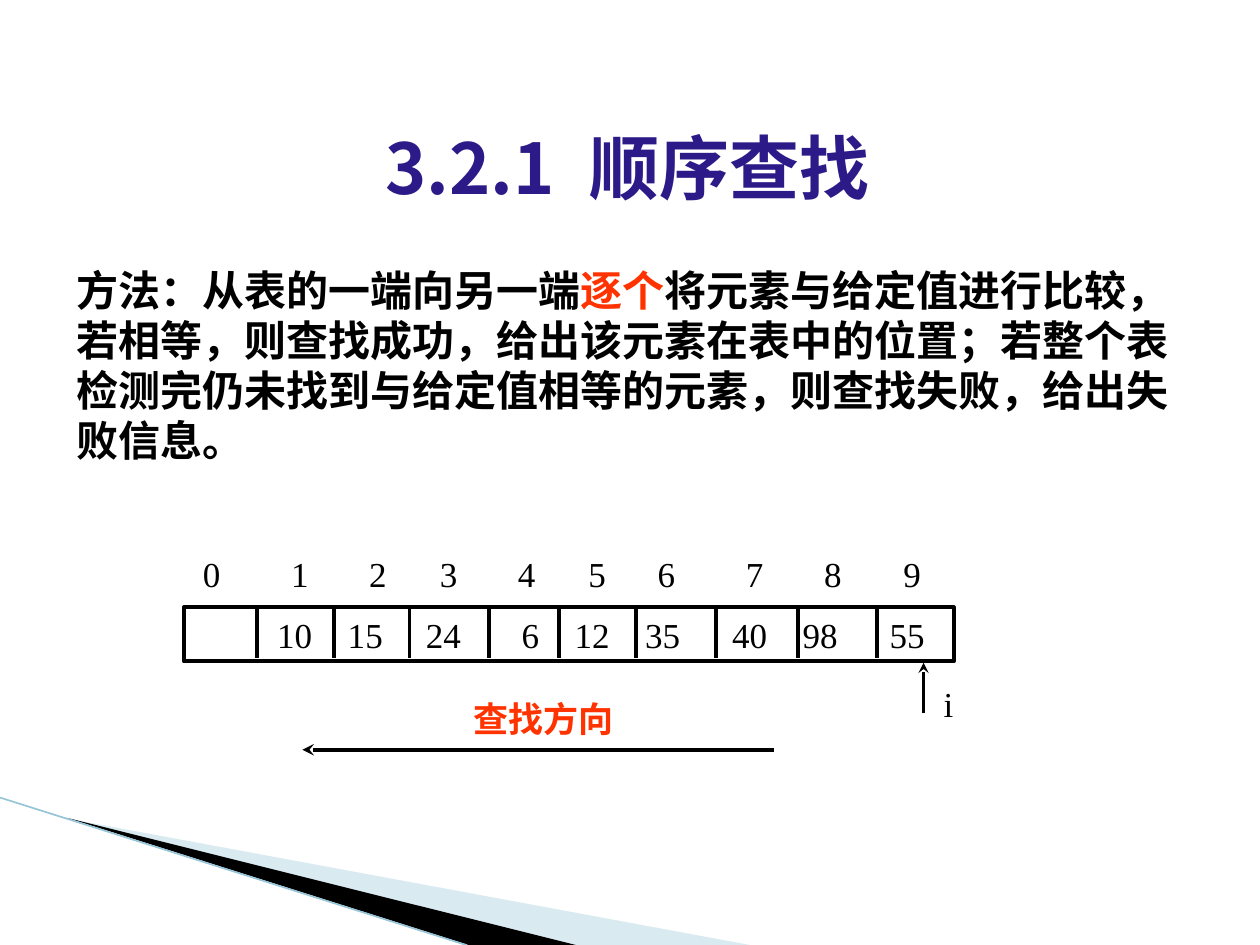
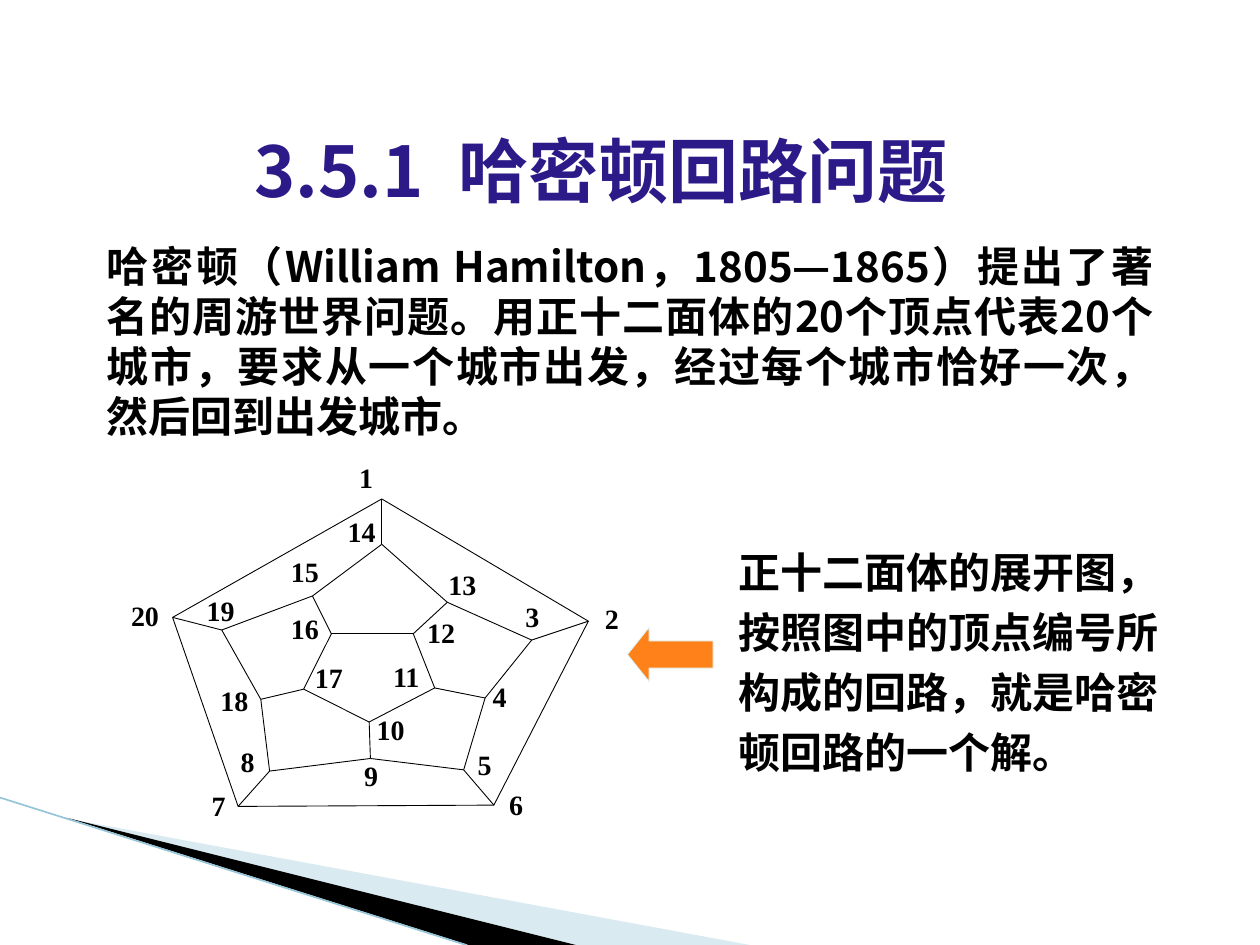
from dataclasses import dataclass

from lxml import etree
from pptx import Presentation
from pptx.dml.color import RGBColor
from pptx.enum.shapes import MSO_CONNECTOR, MSO_SHAPE
from pptx.enum.text import MSO_ANCHOR, MSO_AUTO_SIZE, PP_ALIGN
from pptx.oxml.ns import qn
from pptx.util import Inches, Pt

LEFT, CENTER, JUSTIFY = PP_ALIGN.LEFT, PP_ALIGN.CENTER, PP_ALIGN.JUSTIFY
TOP, MIDDLE = MSO_ANCHOR.TOP, MSO_ANCHOR.MIDDLE
NO_AUTOFIT = MSO_AUTO_SIZE.NONE
STRAIGHT = MSO_CONNECTOR.STRAIGHT
RECTANGLE, LEFT_ARROW = MSO_SHAPE.RECTANGLE, MSO_SHAPE.LEFT_ARROW
TITLE_ONLY = 5


@dataclass(frozen=True)
class Theme:
    sans: str = "Noto Sans CJK SC"
    serif: str = "Times New Roman"
    ink: str = "000000"
    title: str = "2C1A88"
    accent: str = "FF3300"
    pointer: str = "FF8119"
    pointer_edge: str = "DEF5FA"
    band: str = "A0CBDC"
    band_edge: str = "97C5D8"
    title_size: int = 40
    body_size: int = 24
    cell_size: int = 20
    vertex_size: int = 16
    sans_leading: float = 1.19
    sans_drop: float = 0.09


THEME = Theme()
WIDTH, HEIGHT = 10, 7.5
INSETS = (0.1, 0.05, 0.1, 0.05)
NO_INSETS = (0, 0, 0, 0)

PALE_BAND = [(0.55, 6.5), (5.95, HEIGHT), (4.56, HEIGHT)]
DARK_BAND = [(0.53, 6.49), (4.57, HEIGHT), (3.72, HEIGHT)]
BAND_EDGE = [(0, 6.33), (3.7, HEIGHT)]

SEARCH_TITLE = "3.2.1\u2002顺序查找"
SEARCH_METHOD = [
    ("方法：从表的一端向另一端", THEME.ink),
    ("逐个", THEME.accent),
    ("将元素与给定值进行比较，若相等，则查找成功，给出该元素在表中的位置；"
     "若整个表检测完仍未找到与给定值相等的元素，则查找失败，给出失败信息。", THEME.ink),
]
DIRECTION = "查找方向"
ARRAY_BOX = (1.46, 4.82, 6.11, 0.43)
INDEX_BOX = (1.55, 4.38, 6.08, 0.35)
INDEX_COLUMNS = [("0", 1.61), ("1", 2.31), ("2", 2.93), ("3", 3.49), ("4", 4.11),
                 ("5", 4.67), ("6", 5.22), ("7", 5.92), ("8", 6.54), ("9", 7.17)]
VALUE_COLUMNS = [("10", 2.2), ("15", 2.76), ("24", 3.38), ("6", 4.14), ("12", 4.56),
                 ("35", 5.12), ("40", 5.81), ("98", 6.37), ("55", 7.06)]
DIVIDERS = [2.04, 2.65, 3.25, 3.88, 4.44, 5.05, 5.68, 6.33, 6.96]

CIRCUIT_TITLE = "3.5.1\u2002哈密顿回路问题"
CIRCUIT_PROBLEM = ("哈密顿（William Hamilton，1805—1865）提出了著名的周游世界问题。"
                   "用正十二面体的20个顶点代表20个城市，要求从一个城市出发，"
                   "经过每个城市恰好一次，然后回到出发城市。")
CIRCUIT_ANSWER = "正十二面体的展开图，按照图中的顶点编号所构成的回路，就是哈密顿回路的一个解。"
VERTICES = {
    1: ((3.03, 3.96), (2.85, 3.72)), 2: ((4.67, 4.93), (4.8, 4.84)),
    3: ((4.22, 5.08), (4.17, 4.83)), 4: ((3.85, 5.54), (3.91, 5.46)),
    5: ((3.68, 6.11), (3.79, 6)), 6: ((3.92, 6.39), (4.04, 6.32)),
    7: ((1.89, 6.4), (1.68, 6.33)), 8: ((2.14, 6.12), (1.91, 5.98)),
    9: ((2.94, 6.02), (2.89, 6.09)), 10: ((2.93, 5.73), (2.99, 5.72)),
    11: ((3.45, 5.46), (3.12, 5.3)), 12: ((3.28, 5.03), (3.39, 4.95)),
    13: ((3.55, 4.78), (3.56, 4.57)), 14: ((3.03, 4.32), (2.76, 4.15)),
    15: ((2.48, 4.73), (2.31, 4.47)), 16: ((2.63, 5.03), (2.31, 4.92)),
    17: ((2.41, 5.47), (2.5, 5.31)), 18: ((2.07, 5.55), (1.75, 5.49)),
    19: ((1.76, 5), (1.64, 4.78)), 20: ((1.37, 4.9), (1.04, 4.82)),
}
CHORDS = [(1, 14), (2, 6), (3, 13), (4, 11), (5, 9),
          (7, 20), (8, 18), (10, 17), (12, 16), (15, 19)]


def rgb(code):
    return RGBColor.from_string(code)


def place(shape, box):
    shape.left, shape.top, shape.width, shape.height = map(Inches, box)


def write(shape, pieces, size, font, bold=False, align=LEFT, leading=None,
          insets=INSETS, anchor=TOP):
    frame = shape.text_frame
    frame.word_wrap = True
    frame.auto_size = NO_AUTOFIT
    frame.vertical_anchor = anchor
    (frame.margin_left, frame.margin_top,
     frame.margin_right, frame.margin_bottom) = map(Inches, insets)
    paragraph = frame.paragraphs[0]
    paragraph.alignment = align
    if leading:
        paragraph.line_spacing = leading
    for words, color in pieces:
        run = paragraph.add_run()
        run.text = words
        run.font.size, run.font.bold, run.font.name = Pt(size), bold, font
        run.font.color.rgb = rgb(color)
        east_asian = etree.SubElement(run.font._element, qn("a:ea"))
        east_asian.set("typeface", THEME.sans)
    return paragraph


def write_sans(shape, box, pieces, size, stretch=1, **options):
    left, top, width, height = box
    place(shape, (left, top + THEME.sans_drop * size / 72, width, height))
    write(shape, pieces, size, THEME.sans, bold=True,
          leading=Pt(round(size * THEME.sans_leading * stretch, 1)), **options)


def add_box(slide, box):
    return slide.shapes.add_textbox(*map(Inches, box))


def add_line(slide, start, end, weight, color=THEME.ink, arrow=False):
    line = slide.shapes.add_connector(STRAIGHT, *map(Inches, (*start, *end)))
    line.line.color.rgb = rgb(color)
    line.line.width = Pt(weight)
    if arrow:
        etree.SubElement(line.line._get_or_add_ln(), qn("a:tailEnd"), type="stealth")
    etree.SubElement(line._element.spPr, qn("a:effectLst"))


def add_band(slide, points, color, opacity=100):
    start, *rest = [(Inches(x), Inches(y)) for x, y in points]
    builder = slide.shapes.build_freeform(*start)
    builder.add_line_segments(rest, close=True)
    band = builder.convert_to_shape()
    band.shadow.inherit = False
    band.fill.solid()
    band.fill.fore_color.rgb = rgb(color)
    band.line.fill.background()
    if opacity < 100:
        tint = band._element.spPr.find(".//" + qn("a:srgbClr"))
        etree.SubElement(tint, qn("a:alpha"), val=str(opacity * 1000))


def add_slide(deck, title, title_box):
    slide = deck.slides.add_slide(deck.slide_layouts[TITLE_ONLY])
    add_band(slide, PALE_BAND, THEME.band, opacity=40)
    add_band(slide, DARK_BAND, THEME.ink)
    add_line(slide, *BAND_EDGE, 0.95, THEME.band_edge)
    write_sans(slide.shapes.title, title_box, [(title, THEME.title)],
               THEME.title_size, align=CENTER)
    return slide


def write_columns(shape, columns, inset, **options):
    origin = shape.left / Inches(1) + inset
    words = "\t" + "\t".join(label for label, _ in columns)
    paragraph = write(shape, [(words, THEME.ink)], THEME.cell_size, THEME.serif,
                      insets=(inset, 0.01, 0.1, 0.01), **options)
    stops = etree.SubElement(paragraph._p.get_or_add_pPr(), qn("a:tabLst"))
    for _, left in columns:
        etree.SubElement(stops, qn("a:tab"), pos=str(Inches(left - origin)), algn="l")


def build_search(deck):
    slide = add_slide(deck, SEARCH_TITLE, (0.52, 0.89, 8.92, 0.77))
    method_box = (0.51, 2.02, 9.08, 1.72)
    write_sans(add_box(slide, method_box), method_box, SEARCH_METHOD, THEME.body_size)

    array = slide.shapes.add_shape(RECTANGLE, *map(Inches, ARRAY_BOX))
    array.shadow.inherit = False
    array.fill.background()
    array.line.color.rgb = rgb(THEME.ink)
    array.line.width = Pt(2.25)
    write_columns(array, VALUE_COLUMNS, 0.12, anchor=MIDDLE)
    for x in DIVIDERS:
        add_line(slide, (x, 4.82), (x, 5.22), 2.25)
    write_columns(add_box(slide, INDEX_BOX), INDEX_COLUMNS, 0.05, anchor=MIDDLE)

    add_line(slide, (7.33, 5.66), (7.33, 5.26), 1.5, arrow=True)
    write(add_box(slide, (7.49, 5.42, 0.34, 0.4)), [("i", THEME.ink)],
          THEME.cell_size, THEME.serif, insets=NO_INSETS)
    direction_box = (3.76, 5.51, 1.36, 0.4)
    write_sans(add_box(slide, direction_box), direction_box,
               [(DIRECTION, THEME.accent)], THEME.cell_size, insets=NO_INSETS)
    add_line(slide, (6.14, 5.95), (2.4, 5.95), 2.25, arrow=True)


def build_circuit(deck):
    slide = add_slide(deck, CIRCUIT_TITLE, (1.02, 0.92, 7.5, 0.77))
    problem_box = (0.75, 1.83, 8.5, 1.72)
    write_sans(add_box(slide, problem_box), problem_box,
               [(CIRCUIT_PROBLEM, THEME.ink)], THEME.body_size, align=JUSTIFY)

    count = len(VERTICES)
    circuit = [(number, number % count + 1) for number in VERTICES]
    for first, second in circuit + CHORDS:
        add_line(slide, VERTICES[first][0], VERTICES[second][0], 0.5)
    for number, (_, corner) in VERTICES.items():
        write(add_box(slide, (*corner, 0.3 if number > 9 else 0.21, 0.19)),
              [(str(number), THEME.ink)], THEME.vertex_size, THEME.serif,
              bold=True, leading=0.72, insets=NO_INSETS)

    answer_box = (5.76, 4.18, 3.72, 2.04)
    write_sans(add_box(slide, answer_box), answer_box,
               [(CIRCUIT_ANSWER, THEME.ink)], THEME.body_size, stretch=1.2)
    pointer = slide.shapes.add_shape(LEFT_ARROW, *map(Inches, (4.98, 4.98, 0.68, 0.43)))
    pointer.adjustments[0], pointer.adjustments[1] = 0.5, 0.4
    pointer.shadow.inherit = False
    pointer.fill.solid()
    pointer.fill.fore_color.rgb = rgb(THEME.pointer)
    pointer.line.color.rgb = rgb(THEME.pointer_edge)
    pointer.line.width = Pt(0.5)


deck = Presentation()
deck.slide_width, deck.slide_height = Inches(WIDTH), Inches(HEIGHT)
build_search(deck)
build_circuit(deck)
deck.save("out.pptx")
